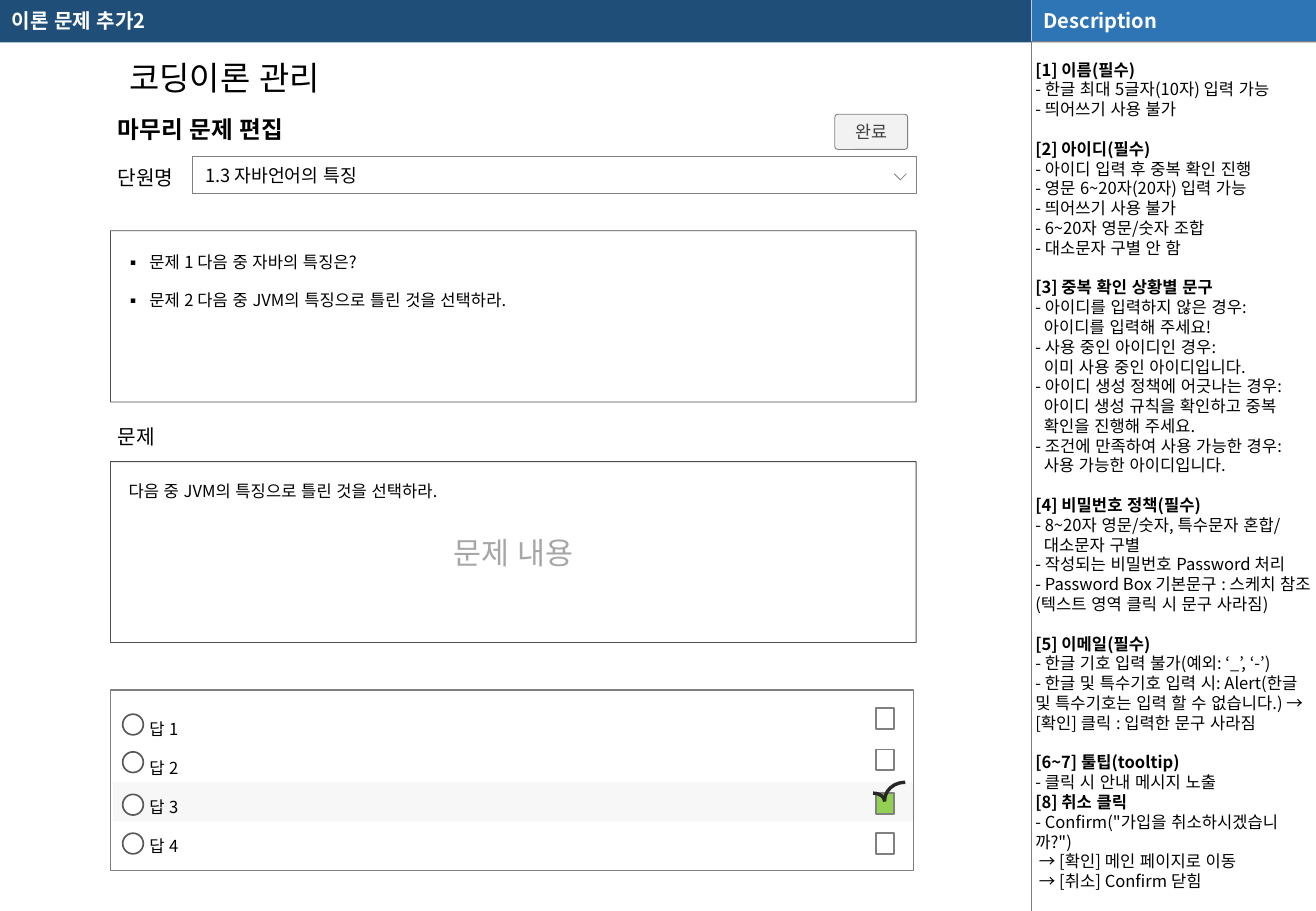
import pptx
import pptx.util
import pptx.dml.color
import pptx.enum.dml
import pptx.enum.lang
import pptx.enum.shapes
import pptx.enum.text
import pptx.oxml.ns
import lxml.etree

Inches = pptx.util.Inches
Pt = pptx.util.Pt
SHAPE = pptx.enum.shapes.MSO_SHAPE
ALIGN = pptx.enum.text.PP_ALIGN
ANCHOR = pptx.enum.text.MSO_ANCHOR
qn = pptx.oxml.ns.qn


def rgb(value):
    return pptx.dml.color.RGBColor.from_string(value)


def apply(target, values):
    for name, value in values.items():
        setattr(target, name, value)


class Screen:
    font = "Noto Sans CJK KR"
    lang = pptx.enum.lang.MSO_LANGUAGE_ID.KOREAN
    inset = (0.1, 0.05, 0.1, 0.05)

    def __init__(self, slide):
        self.s = slide

    def alpha(self, fill, percent):
        clr = fill._xPr.find(".//" + qn("a:srgbClr"))
        lxml.etree.SubElement(clr, qn("a:alpha")).set("val", str(percent * 1000))

    def style(self, sp, fill=None, line=None, width=0.5, fill_alpha=100, line_alpha=100):
        sp.shadow.inherit = False
        if fill:
            sp.fill.solid()
            sp.fill.fore_color.rgb = rgb(fill)
            if fill_alpha < 100:
                self.alpha(sp.fill, fill_alpha)
        else:
            sp.fill.background()
        if line:
            sp.line.color.rgb = rgb(line)
            sp.line.width = Pt(width)
            if line_alpha < 100:
                self.alpha(sp.line.fill, line_alpha)
        else:
            sp.line.fill.background()

    def shape(self, kind, x, y, w, h, adjustments=(), **look):
        sp = self.s.shapes.add_shape(kind, Inches(x), Inches(y), Inches(w), Inches(h))
        for i, value in enumerate(adjustments):
            sp.adjustments[i] = value
        self.style(sp, **look)
        return sp

    def rect(self, x, y, w, h, **look):
        return self.shape(SHAPE.RECTANGLE, x, y, w, h, **look)

    def line(self, x1, y1, x2, y2, color):
        ends = (Inches(v) for v in (x1, y1, x2, y2))
        cn = self.s.shapes.add_connector(pptx.enum.shapes.MSO_CONNECTOR.STRAIGHT, *ends)
        cn.line.color.rgb = rgb(color)
        cn.line.width = Pt(0.25)
        lxml.etree.SubElement(cn._element.spPr, qn("a:effectLst"))

    def chevron(self, points, fill, line):
        (x, y), *rest = [(Inches(a), Inches(b)) for a, b in points]
        fb = self.s.shapes.build_freeform(x, y)
        fb.add_line_segments(rest, close=False)
        self.style(fb.convert_to_shape(), fill, line)

    def frame(self, sp, anchor=ANCHOR.MIDDLE, inset=inset):
        left, top, right, bottom = (Inches(v) for v in inset)
        tf = sp.text_frame
        apply(tf, {"word_wrap": True, "vertical_anchor": anchor,
                   "margin_left": left, "margin_top": top,
                   "margin_right": right, "margin_bottom": bottom})
        return tf

    def add_text(self, p, text, size, color="000000", bold=False, align=ALIGN.LEFT, **spacing):
        apply(p, {"alignment": align, **spacing})
        r = p.add_run()
        r.text = text
        apply(r.font, {"name": self.font, "size": Pt(size), "bold": bold, "language_id": self.lang})
        r.font.color.rgb = rgb(color)
        lxml.etree.SubElement(r._r.rPr, qn("a:ea")).set("typeface", self.font)

    def caption(self, sp, text, size, inset=inset, **look):
        p = self.frame(sp, inset=inset).paragraphs[0]
        self.add_text(p, text, size, **look)
        return p

    def box(self, x, y, w, h):
        return self.s.shapes.add_textbox(Inches(x), Inches(y), Inches(w), Inches(h))

    def label(self, x, y, w, h, text, size, **look):
        return self.caption(self.box(x, y, w, h), text, size, **look)

    def indent(self, p, left, first=0):
        pPr = p._p.get_or_add_pPr()
        pPr.set("marL", str(Inches(left)))
        pPr.set("indent", str(Inches(first)))
        return pPr

    def bullet(self, p):
        pPr = self.indent(p, 0.2, -0.2)
        lxml.etree.SubElement(pPr, qn("a:buFont")).set("typeface", self.font)
        lxml.etree.SubElement(pPr, qn("a:buChar")).set("char", "▪")

    def description(self, x, y, w, h, sections, size, pitch):
        tf = self.frame(self.box(x, y, w, h), ANCHOR.TOP, (0.04, 0, 0.04, 0))
        p = tf.paragraphs[0]
        for n, (gap, heading, lines) in enumerate(sections):
            if n:
                p = tf.add_paragraph()
            self.add_text(p, heading, size, bold=True, line_spacing=Pt(pitch),
                          space_before=Pt(pitch if gap else 0))
            for left, text in lines:
                p = tf.add_paragraph()
                self.add_text(p, text, size, line_spacing=Pt(pitch), space_before=Pt(0))
                self.indent(p, left)


SUB = 0.07
STEP = 0.03
SECTIONS = [
    (False, "[1] 이름(필수)", [
        (0, "- 한글 최대 5글자(10자) 입력 가능"),
        (0, "- 띄어쓰기 사용 불가")]),
    (True, "[2] 아이디(필수)", [
        (0, "- 아이디 입력 후 중복 확인 진행"),
        (0, "- 영문 6~20자(20자) 입력 가능"),
        (0, "- 띄어쓰기 사용 불가"),
        (0, "- 6~20자 영문/숫자 조합"),
        (0, "- 대소문자 구별 안 함")]),
    (True, "[3] 중복 확인 상황별 문구", [
        (0, "- 아이디를 입력하지 않은 경우:"),
        (SUB, "아이디를 입력해 주세요!"),
        (0, "- 사용 중인 아이디인 경우:"),
        (SUB, "이미 사용 중인 아이디입니다."),
        (0, "- 아이디 생성 정책에 어긋나는 경우:"),
        (SUB, "아이디 생성 규칙을 확인하고 중복"),
        (SUB, "확인을 진행해 주세요."),
        (0, "- 조건에 만족하여 사용 가능한 경우:"),
        (SUB, "사용 가능한 아이디입니다.")]),
    (True, "[4] 비밀번호 정책(필수)", [
        (0, "- 8~20자 영문/숫자, 특수문자 혼합/"),
        (SUB, "대소문자 구별"),
        (0, "- 작성되는 비밀번호 Password 처리"),
        (0, "- Password Box 기본문구 : 스케치 참조 (텍스트 영역 클릭 시 문구 사라짐)")]),
    (True, "[5] 이메일(필수)", [
        (0, "- 한글 기호 입력 불가(예외: ‘_’, ‘-’)"),
        (0, "- 한글 및 특수기호 입력 시: Alert(한글 및 특수기호는 입력 할 수 없습니다.) → [확인] 클릭 : 입력한 문구 사라짐")]),
    (True, "[6~7] 툴팁(tooltip)", [(0, "- 클릭 시 안내 메시지 노출")]),
    (False, "[8] 취소 클릭", [
        (0, "- Confirm(\"가입을 취소하시겠습니까?\")"),
        (STEP, "→ [확인] 메인 페이지로 이동"),
        (STEP, "→ [취소] Confirm 닫힘")]),
]
QUESTIONS = ["문제 1 다음 중 자바의 특징은?", "문제 2 다음 중 JVM의 특징으로 틀린 것을 선택하라."]
ANSWERS = [(5.88, 5.83, "FFFFFF"), (6.19, 6.17, "FFFFFF"), (6.54, 6.53, "92D050"), (6.86, 6.86, "FFFFFF")]
PANEL = {"fill": "FFFFFF", "line": "404040", "line_alpha": 93}


def main():
    prs = pptx.Presentation()
    apply(prs, {"slide_width": Inches(10.83), "slide_height": Inches(7.5)})
    sc = Screen(prs.slides.add_slide(prs.slide_layouts[6]))

    sc.rect(0, 0, 8.49, 0.35, fill="1F4E79")
    sc.rect(8.49, 0, 2.34, 0.35, fill="808080")
    sc.line(8.49, 0, 8.49, 0.35, "FFFFFF")
    sc.line(8.49, 0.34, 8.49, 7.5, "7F7F7F")
    header = sc.rect(8.49, 0, 2.34, 0.34, fill="2E75B6")
    sc.caption(header, "Description", 11.9, color="FFFFFF", bold=True)
    sc.label(0, 0, 8.25, 0.33, "이론 문제 추가2", 11.9, color="FFFFFF", bold=True)
    sc.description(8.48, 0.49, 2.35, 6.99, SECTIONS, 9.8, 11.73)

    sc.label(0.72, 0.42, 2.26, 0.43, "코딩이론 관리", 19.5, align=ALIGN.CENTER)
    sc.label(0.87, 0.89, 1.71, 0.34, "마무리 문제 편집", 14, bold=True)
    sc.label(0.87, 1.31, 0.71, 0.3, "단원명", 12)
    sc.label(0.87, 3.44, 0.71, 0.3, "문제", 12)
    unit = sc.rect(1.58, 1.29, 5.96, 0.3, fill="FFFFFF", line="808080")
    sc.caption(unit, "1.3 자바언어의 특징", 10.8, inset=(0.11, 0.05, 0.22, 0.05))
    sc.chevron([(7.36, 1.43), (7.41, 1.48), (7.46, 1.43)], "FFFFFF", "808080")
    done = sc.shape(SHAPE.ROUNDED_RECTANGLE, 6.87, 0.94, 0.6, 0.29, [0.09], fill="F2F2F2", line="808080")
    sc.caption(done, "완료", 10.3, inset=(0.05,) * 4, color="404040", align=ALIGN.CENTER)

    sc.rect(0.91, 1.9, 6.63, 1.41, **PANEL)
    for i, question in enumerate(QUESTIONS):
        sc.bullet(sc.label(0.93, 2 + 0.31 * i, 6.59, 0.32, question, 9.8))
    content = sc.rect(0.91, 3.8, 6.63, 1.49, **PANEL)
    sc.caption(content, "문제 내용", 18, color="A6A6A6", align=ALIGN.CENTER)
    sc.label(0.96, 3.88, 6.56, 0.32, "다음 중 JVM의 특징으로 틀린 것을 선택하라.", 9.8)

    sc.rect(0.93, 6.44, 6.59, 0.32, fill="D9D9D9", fill_alpha=20)
    sc.rect(0.91, 5.68, 6.61, 1.49, line="808080", width=0.75)
    for i, (radio_y, check_y, check_fill) in enumerate(ANSWERS):
        sc.indent(sc.label(0.93, 5.84 + 0.32 * i, 6.59, 0.32, f"답 {i + 1}", 9.8), 0.2)
        sc.shape(SHAPE.OVAL, 1.01, radio_y, 0.17, 0.17, fill="FFFFFF", line="595959", width=1)
        sc.rect(7.21, check_y, 0.15, 0.17, fill=check_fill, line="808080", width=1)
    sc.shape(SHAPE.ARC, 7.09, 6.53, 0.19, 0.14, line="262626", width=2)
    sc.shape(SHAPE.ARC, 7.28, 6.44, 0.34, 0.3, [108, 162], line="262626", width=2)

    prs.save("out.pptx")


if __name__ == "__main__":
    main()
